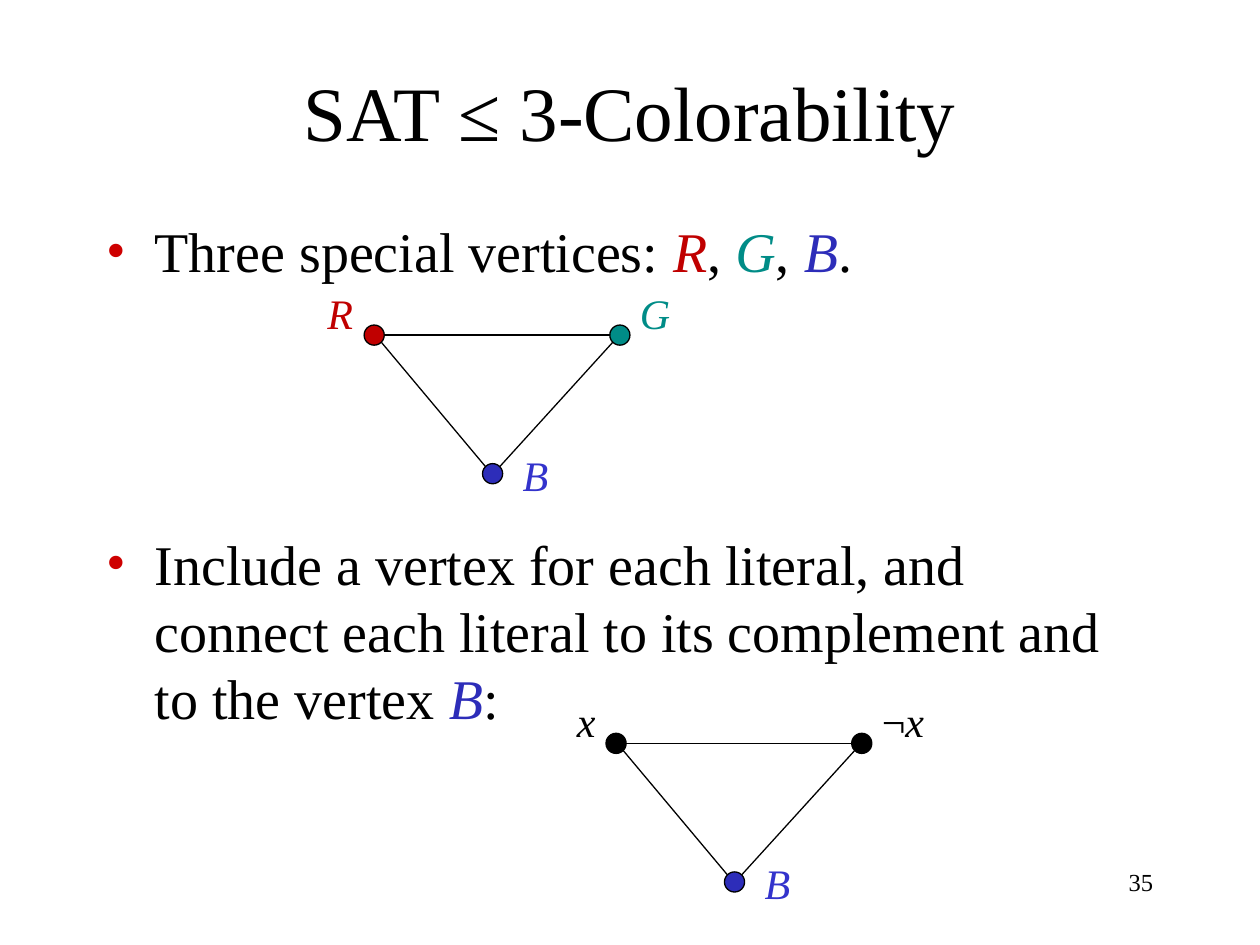
import pptx
import pptx.util
import pptx.dml.color
import pptx.enum.shapes
import pptx.enum.text
import pptx.oxml
import pptx.oxml.ns

Inches, Pt = pptx.util.Inches, pptx.util.Pt
ALIGN = pptx.enum.text.PP_ALIGN
ANCHOR = pptx.enum.text.MSO_ANCHOR
FONT = "Times New Roman"
COLORS = {"black": "000000", "red": "C00000", "green": "008C87",
          "blue": "2D2DB9", "label_blue": "3333CC", "bullet": "CE0000"}

TITLE = "SAT ≤ 3-Colorability"
PAGE = "35"
# Runs are (text, color, italic).
BULLETS = [
    [("Three special vertices: ", "black", False), ("R", "red", True),
     (", ", "black", False), ("G", "green", True), (", ", "black", False),
     ("B", "blue", True), (".", "black", False)],
    [("Include a vertex for each literal, and connect each literal to its "
      "complement and to the vertex ", "black", False),
     ("B", "blue", True), (":", "black", False)],
]
# Vertices run left, right, bottom: (fill, label runs, label width).
TRIANGLES = [
    {"at": (2.89, 2.58), "vertices": [
        ("red", [("R", "red", True)], 0.41),
        ("green", [("G", "green", True)], 0.45),
        ("blue", [("B", "label_blue", True)], 0.41)]},
    {"at": (4.81, 5.82), "vertices": [
        ("black", [("x", "black", True)], 0.35),
        ("black", [("¬", "black", False), ("x", "black", True)], 0.54),
        ("blue", [("B", "label_blue", True)], 0.41)]},
]
DOT = 0.16
VERTEX_OFFSETS = [(0, 0), (1.95, 0), (0.94, 1.1)]
LABEL_OFFSETS = [(0.02, -0.35), (2.09, -0.35), (1.16, 0.94)]
# (from, to, unit direction in which the edge leaves the first vertex)
EDGES = [(0, 1, (1, 0)), (0, 2, (0.71, 0.71)), (1, 2, (-0.71, 0.71))]
BULLET_GAP = 140


def rgb(name):
    return pptx.dml.color.RGBColor.from_string(COLORS[name])


def add_runs(p, runs, size):
    for text, color, italic in runs:
        r = p.add_run()
        r.text = text
        formats = {"name": FONT, "size": Pt(size), "italic": italic}
        for key, value in formats.items():
            setattr(r.font, key, value)
        r.font.color.rgb = rgb(color)


def add_text(slide, box, runs, size, wrap=True, align=ALIGN.LEFT):
    tf = slide.shapes.add_textbox(*map(Inches, box)).text_frame
    tf.word_wrap = wrap
    tf.paragraphs[0].alignment = align
    add_runs(tf.paragraphs[0], runs, size)
    return tf


def set_bullet(p):
    pPr = p._p.get_or_add_pPr()
    pPr.set("marL", str(Inches(0.38)))
    pPr.set("indent", str(-Inches(0.38)))
    ns = pptx.oxml.ns.nsdecls("a")
    for xml in (f'<a:buClr {ns}><a:srgbClr val="{COLORS["bullet"]}"/></a:buClr>',
                f'<a:buFont {ns} typeface="{FONT}"/>',
                f'<a:buChar {ns} char="•"/>'):
        pPr.append(pptx.oxml.parse_xml(xml))


def add_title(slide):
    title = slide.shapes.title
    box = {"left": 0.75, "top": 0.25, "width": 8.5, "height": 1.25}
    for key, value in box.items():
        setattr(title, key, Inches(value))
    tf = title.text_frame
    tf.auto_size = pptx.enum.text.MSO_AUTO_SIZE.NONE
    tf.vertical_anchor = ANCHOR.MIDDLE
    tf.paragraphs[0].alignment = ALIGN.CENTER
    add_runs(tf.paragraphs[0], [(TITLE, "black", False)], 44)


def add_body(slide):
    tf = add_text(slide, (0.75, 1.67, 8.5, 5), BULLETS[0], 32)
    p = tf.add_paragraph()
    p.space_before = Pt(BULLET_GAP)
    add_runs(p, BULLETS[1], 32)
    for p in tf.paragraphs:
        p.line_spacing = Pt(38.5)
        set_bullet(p)


def add_edge(slide, start, end):
    line = slide.shapes.add_connector(
        pptx.enum.shapes.MSO_CONNECTOR.STRAIGHT, *map(Inches, start + end))
    line.line.color.rgb = rgb("black")
    line.line.width = Pt(0.75)
    ns = pptx.oxml.ns.nsdecls("a")
    line._element.spPr.append(pptx.oxml.parse_xml(f"<a:effectLst {ns}/>"))


def add_triangle(slide, at, vertices):
    x, y = at
    r = DOT / 2
    centers = [(x + dx + r, y + dy + r) for dx, dy in VERTEX_OFFSETS]
    for (cx, cy), (fill, _, _) in zip(centers, vertices):
        sp = slide.shapes.add_shape(
            pptx.enum.shapes.MSO_SHAPE.OVAL,
            *map(Inches, (cx - r, cy - r, DOT, DOT)))
        sp.shadow.inherit = False
        sp.fill.solid()
        sp.fill.fore_color.rgb = rgb(fill)
        sp.line.color.rgb = rgb("black")
        sp.line.width = Pt(0.75)
    for a, b, (ux, uy) in EDGES:
        (ax, ay), (bx, by) = centers[a], centers[b]
        add_edge(slide, (ax + r * ux, ay + r * uy), (bx - r * ux, by - r * uy))
    for i, (_, runs, width) in enumerate(vertices):
        dx, dy = LABEL_OFFSETS[i]
        left = x + dx - (width if i == 0 else 0)
        add_text(slide, (left, y + dy, width, 0.5), runs, 24, wrap=False)


def main():
    prs = pptx.Presentation()
    prs.slide_width, prs.slide_height = Inches(10), Inches(7.5)
    slide = prs.slides.add_slide(prs.slide_layouts[5])
    add_title(slide)
    add_body(slide)
    add_text(slide, (7.17, 6.83, 2.08, 0.5), [(PAGE, "black", False)], 14,
             align=ALIGN.RIGHT)
    for triangle in TRIANGLES:
        add_triangle(slide, **triangle)
    prs.save("out.pptx")


if __name__ == "__main__":
    main()
